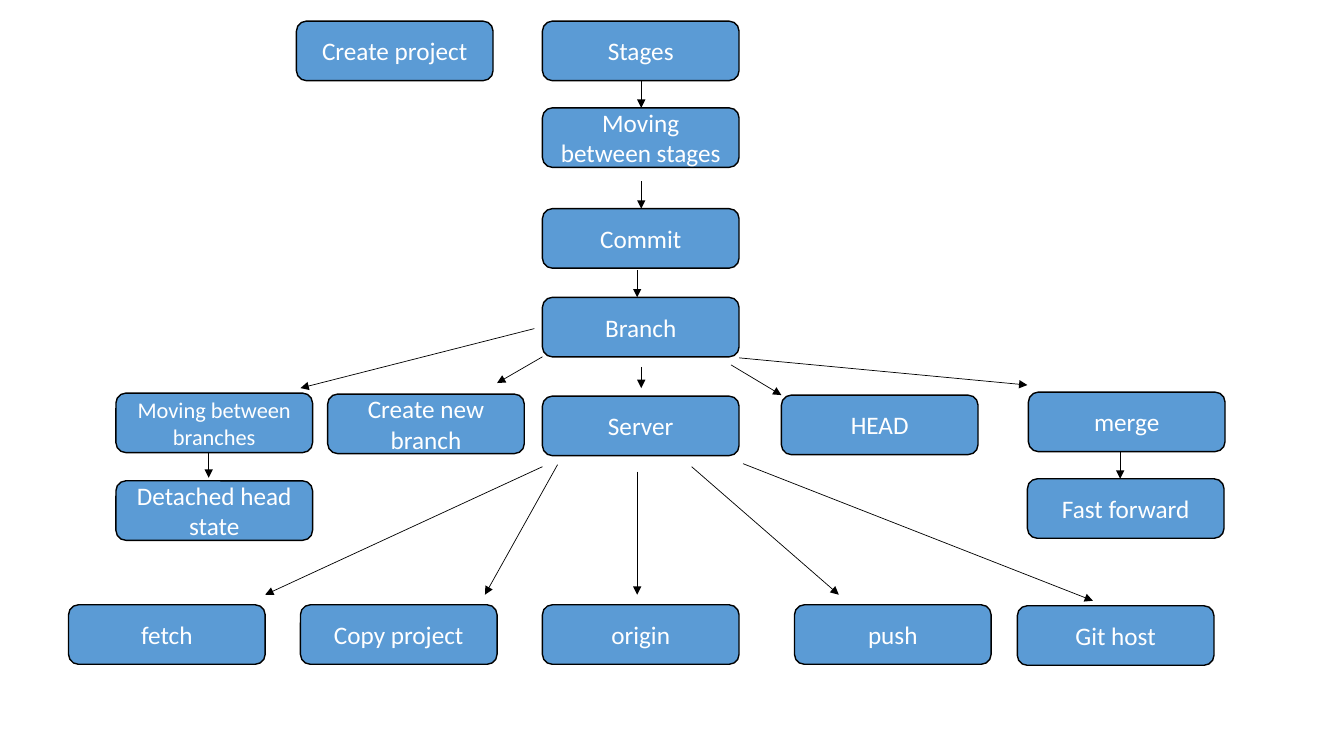
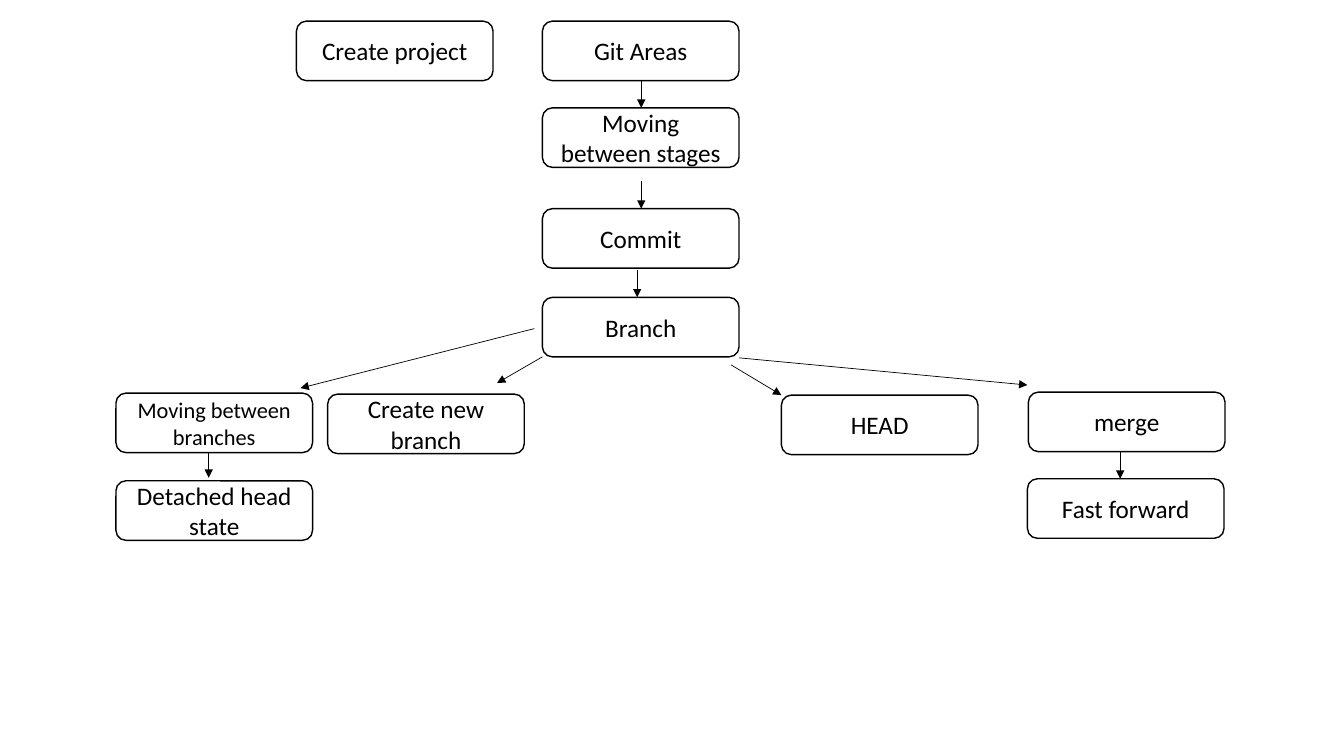
"""Build two flow charts of version control topics, one filled and one outlined."""
import pptx
import pptx.util
import pptx.dml.color
import pptx.enum.shapes
import pptx.enum.text
import pptx.oxml.ns
import lxml.etree

Inches = pptx.util.Inches
Pt = pptx.util.Pt
BLACK, WHITE, BLUE = "000000", "FFFFFF", "5B9BD5"
BOX_W, BOX_H = 1.95, 0.59
CENTER_X = 5.38


def rgb(value):
    return pptx.dml.color.RGBColor.from_string(value)


def sub(parent, tag, **attributes):
    return lxml.etree.SubElement(parent, pptx.oxml.ns.qn(tag), attributes)


branch_boxes = [
    ("Commit", CENTER_X, 2.07),
    ("Branch", CENTER_X, 2.95),
    ("Moving between stages", CENTER_X, 1.07),
    ("Moving between branches", 1.15, 3.9),
    ("merge", 10.2, 3.89),
    ("HEAD", 7.75, 3.92),
    ("Detached head state", 1.15, 4.77),
    ("Fast forward", 10.19, 4.75),
    ("Create project", 2.94, 0.21),
    ("Create new branch", 3.25, 3.91),
]
server_boxes = [
    ("push", 7.88, 6),
    ("fetch", 0.68, 6),
    ("origin", CENTER_X, 6),
    ("Git host", 10.09, 6.01),
    ("Copy project", 2.98, 6),
    ("Server", CENTER_X, 3.93),
]
branch_arrows = [
    (6.36, 0.8, 6.36, 1.07),
    (6.36, 1.8, 6.36, 2.07),
    (6.32, 2.68, 6.32, 2.95),
    (7.25, 3.62, 7.75, 3.92),
    (11.11, 4.48, 11.11, 4.75),
    (2.07, 4.48, 2.07, 4.74),
    (7.33, 3.55, 10.19, 3.82),
    (5.3, 3.26, 2.98, 3.85),
    (5.38, 3.54, 4.93, 3.8),
]
server_arrows = [
    (6.36, 3.64, 6.36, 3.85),
    (6.32, 4.68, 6.32, 5.9),
    (6.86, 4.63, 8.32, 5.9),
    (5.38, 4.63, 2.63, 5.9),
    (5.53, 4.61, 4.81, 5.9),
    (7.37, 4.6, 10.84, 5.96),
]
charts = [
    ("Stages", BLUE, WHITE, branch_boxes + server_boxes, branch_arrows + server_arrows),
    ("Git Areas", None, BLACK, branch_boxes, branch_arrows),
]

prs = pptx.Presentation()
prs.slide_width = Inches(13.33)
prs.slide_height = Inches(7.5)

for top_label, fill, text_color, boxes, arrows in charts:
    s = prs.slides.add_slide(prs.slide_layouts[6])

    for label, x, y in [(top_label, CENTER_X, 0.21)] + boxes:
        sp = s.shapes.add_shape(
            pptx.enum.shapes.MSO_SHAPE.ROUNDED_RECTANGLE,
            Inches(x), Inches(y), Inches(BOX_W), Inches(BOX_H))
        sp.shadow.inherit = False
        if fill:
            sp.fill.solid()
            sp.fill.fore_color.rgb = rgb(fill)
        else:
            sp.fill.background()
        sp.line.color.rgb = rgb(BLACK)
        sp.line.width = Pt(1)
        tf = sp.text_frame
        tf.word_wrap = True
        tf.vertical_anchor = pptx.enum.text.MSO_ANCHOR.MIDDLE
        p = tf.paragraphs[0]
        p.text = label
        p.alignment = pptx.enum.text.PP_ALIGN.CENTER
        p.font.name = "Calibri"
        p.font.size = Pt(16 if label == "Moving between branches" else 18)
        p.font.color.rgb = rgb(text_color)

    for x1, y1, x2, y2 in arrows:
        arrow = s.shapes.add_connector(
            pptx.enum.shapes.MSO_CONNECTOR.STRAIGHT,
            Inches(x1), Inches(y1), Inches(x2), Inches(y2))
        arrow.line.color.rgb = rgb(BLACK)
        arrow.line.width = Pt(0.5)
        sub(arrow.line._get_or_add_ln(), "a:tailEnd", type="triangle")
        sub(arrow._element.spPr, "a:effectLst")

prs.save("out.pptx")
